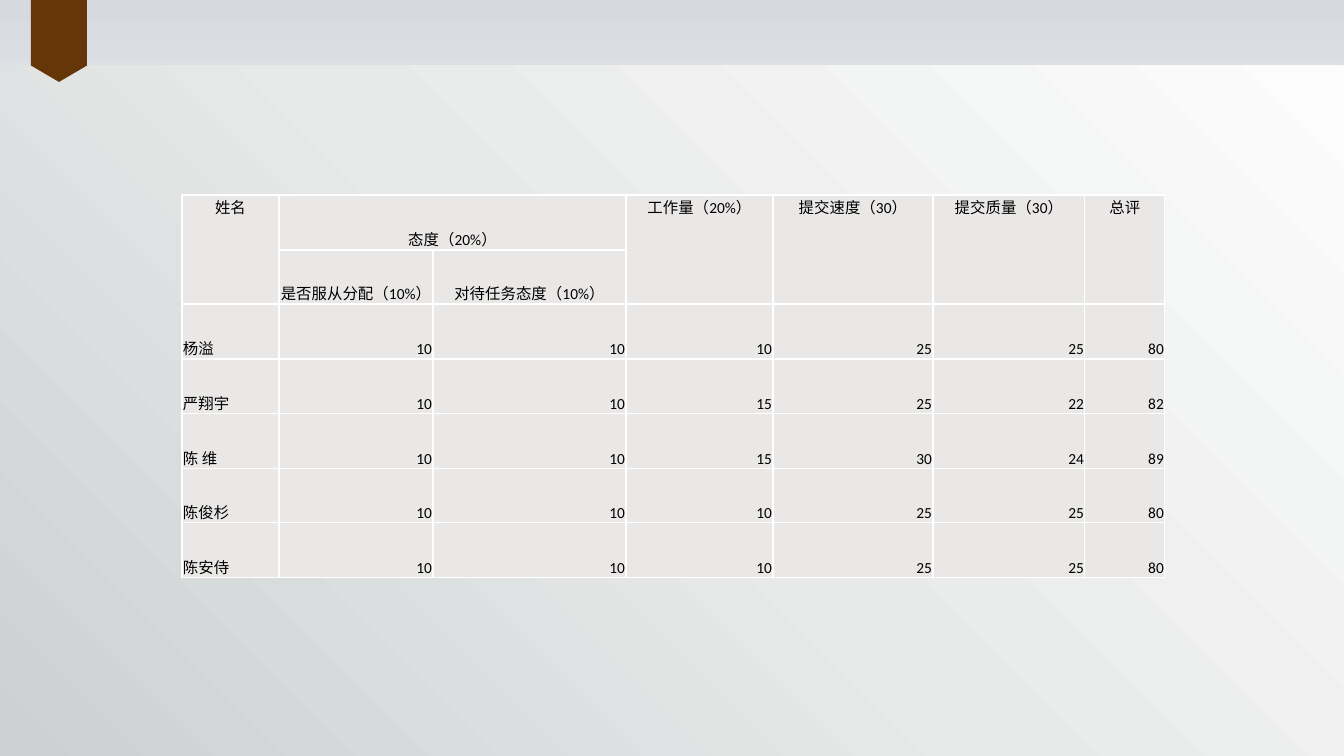
from dataclasses import dataclass
from itertools import accumulate

from lxml.etree import SubElement
from pptx import Presentation
from pptx.dml.color import RGBColor
from pptx.dml.fill import FillFormat
from pptx.enum.shapes import MSO_SHAPE
from pptx.enum.text import MSO_ANCHOR, PP_ALIGN
from pptx.oxml.ns import qn
from pptx.oxml.xmlchemy import BaseOxmlElement
from pptx.shapes.autoshape import Shape
from pptx.slide import Slide
from pptx.table import Table, _Cell
from pptx.util import Emu, Pt

Stops = tuple[tuple[int, str], ...]


@dataclass(frozen=True)
class Theme:
    """Colours, font and sizes of the slide."""

    font: str = "Calibri"
    size: int = 11
    rule: int = 1
    ink: str = "000000"
    cell: str = "EAE8E7"
    line: str = "FFFFFF"
    ribbon: str = "653607"
    sky: Stops = ((0, "D7D9E1"), (26, "EBECF0"), (100, "FFFFFF"))
    panel: Stops = ((0, "CCD0D1"), (49, "E8EAE9"), (100, "FCFCFC"))


@dataclass(frozen=True)
class Head:
    """A heading cell with its place and span."""

    text: str
    row: int
    col: int
    down: int = 1
    wide: int = 1
    anchor: MSO_ANCHOR = MSO_ANCHOR.BOTTOM


@dataclass(frozen=True)
class Member:
    """A team member and the marks given."""

    name: str
    marks: tuple[int, ...]


THEME = Theme()
SCALE = 914400 / 100.8
WIDTH, HEIGHT = 1344, 756
BAND = 66
LEFT, TOP, DEPTH = 182, 195, 383
COLS = (97, 154, 193, 147, 160, 152, 80)
HEADS = (
    Head("姓名", 0, 0, down=2, anchor=MSO_ANCHOR.TOP),
    Head("态度（20%）", 0, 1, wide=2),
    Head("工作量（20%）", 0, 3, down=2, anchor=MSO_ANCHOR.TOP),
    Head("提交速度（30）", 0, 4, down=2, anchor=MSO_ANCHOR.TOP),
    Head("提交质量（30）", 0, 5, down=2, anchor=MSO_ANCHOR.TOP),
    Head("总评", 0, 6, down=2, anchor=MSO_ANCHOR.TOP),
    Head("是否服从分配（10%）", 1, 1),
    Head("对待任务态度（10%）", 1, 2),
)
TEAM = (
    Member("杨溢", (10, 10, 10, 25, 25)),
    Member("严翔宇", (10, 10, 15, 25, 22)),
    Member("陈 维", (10, 10, 15, 30, 24)),
    Member("陈俊杉", (10, 10, 10, 25, 25)),
    Member("陈安侍", (10, 10, 10, 25, 25)),
)


def px(count: int) -> Emu:
    """Turn px into EMU."""
    return Emu(round(count * SCALE))


def blend(fill: FillFormat, root: BaseOxmlElement, stops: Stops, angle: int) -> None:
    """Give a fill a linear gradient with any number of stops."""
    fill.gradient()
    fill.gradient_angle = angle
    group = next(root.iter(qn("a:gsLst")))
    for old in list(group):
        group.remove(old)
    for place, tone in stops:
        stop = SubElement(group, qn("a:gs"), pos=str(place * 1000))
        SubElement(stop, qn("a:srgbClr"), val=tone)


def add(slide: Slide, kind: MSO_SHAPE, x: int, y: int, w: int, h: int) -> Shape:
    """Add a preset shape without line or shadow."""
    shape = slide.shapes.add_shape(kind, px(x), px(y), px(w), px(h))
    shape.shadow.inherit = False
    shape.line.fill.background()
    return shape


def style(cell: _Cell) -> None:
    """Set the borders, fill and margins of a cell."""
    props = cell._tc.get_or_add_tcPr()
    for side in ("lnL", "lnR", "lnT", "lnB"):
        edge = SubElement(props, qn(f"a:{side}"), w=str(Pt(THEME.rule)))
        SubElement(SubElement(edge, qn("a:solidFill")), qn("a:srgbClr"), val=THEME.line)
    cell.fill.solid()
    cell.fill.fore_color.rgb = RGBColor.from_string(THEME.cell)
    cell.margin_left = cell.margin_right = cell.margin_top = px(1)
    cell.margin_bottom = 0


def write(
    cell: _Cell,
    text: str,
    *,
    align: PP_ALIGN = PP_ALIGN.LEFT,
    anchor: MSO_ANCHOR = MSO_ANCHOR.BOTTOM,
) -> None:
    """Put formatted text into a cell."""
    cell.vertical_anchor = anchor
    para = cell.text_frame.paragraphs[0]
    para.alignment = align
    run = para.add_run()
    run.text = text
    run.font.name = THEME.font
    run.font.size = Pt(THEME.size)
    run.font.color.rgb = RGBColor.from_string(THEME.ink)


def make_grid(slide: Slide) -> Table:
    """Add the empty table with its column and row sizes."""
    count = 2 + len(TEAM)
    frame = slide.shapes.add_table(
        count, len(COLS), px(LEFT), px(TOP), px(sum(COLS)), px(DEPTH)
    )
    table = frame.table
    table.first_row = table.horz_banding = False
    for col, width in zip(table.columns, COLS):
        col.width = px(width)
    edges = [round(DEPTH * step / count) for step in range(count + 1)]
    for row, start, end in zip(table.rows, edges, edges[1:]):
        row.height = px(end - start)
    for cell in table.iter_cells():
        style(cell)
    return table


def fill_grid(table: Table) -> None:
    """Write the headings and the marks."""
    for head in HEADS:
        cell = table.cell(head.row, head.col)
        if head.down * head.wide > 1:
            cell.merge(table.cell(head.row + head.down - 1, head.col + head.wide - 1))
        write(cell, head.text, align=PP_ALIGN.CENTER, anchor=head.anchor)
    for row, member in enumerate(TEAM, 2):
        write(table.cell(row, 0), member.name)
        for col, mark in enumerate((*member.marks, sum(member.marks)), 1):
            write(table.cell(row, col), str(mark), align=PP_ALIGN.RIGHT)


def main() -> None:
    """Build and save the slide."""
    deck = Presentation()
    deck.slide_width, deck.slide_height = px(WIDTH), px(HEIGHT)
    slide = deck.slides.add_slide(deck.slide_layouts[6])
    blend(slide.background.fill, slide.element, THEME.sky, 270)
    panel = add(slide, MSO_SHAPE.RECTANGLE, 0, BAND, WIDTH, HEIGHT - BAND)
    blend(panel.fill, panel.element, THEME.panel, 45)
    ribbon = add(slide, MSO_SHAPE.FLOWCHART_OFFPAGE_CONNECTOR, 31, 0, 56, 82)
    ribbon.fill.solid()
    ribbon.fill.fore_color.rgb = RGBColor.from_string(THEME.ribbon)
    fill_grid(make_grid(slide))
    deck.save("out.pptx")


if __name__ == "__main__":
    main()
